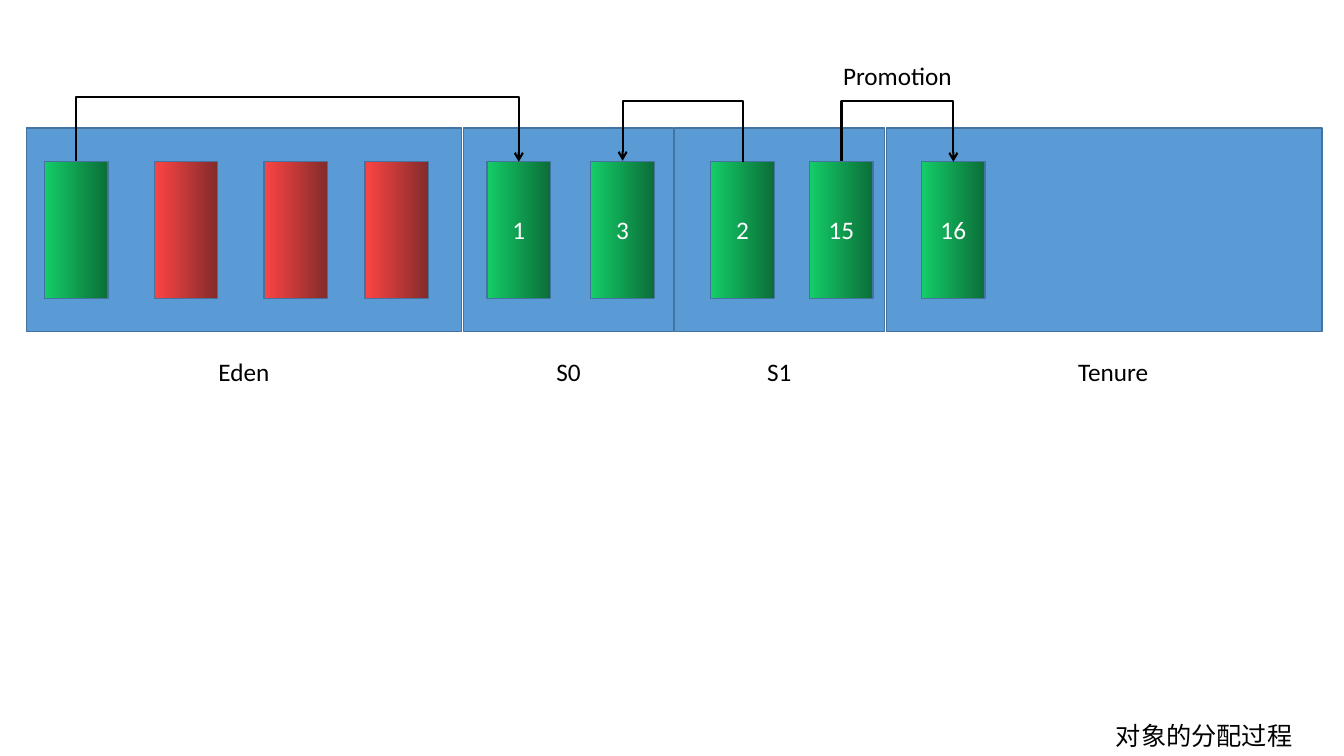
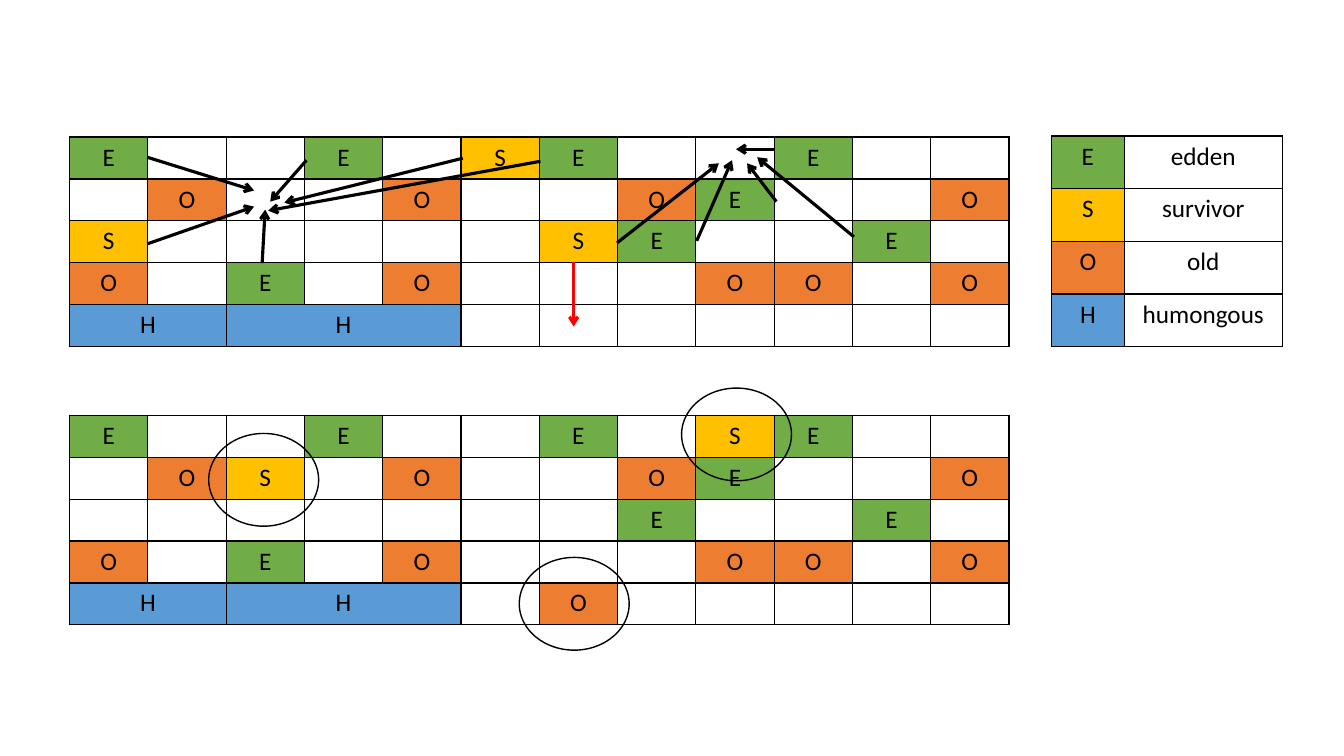
"""Draw two slides on how a garbage collector allocates and moves objects."""
from dataclasses import dataclass, field

from lxml.etree import SubElement
from pptx import Presentation
from pptx.dml.color import RGBColor as RGB
from pptx.enum.shapes import MSO_CONNECTOR as LINK, MSO_SHAPE as SHAPE
from pptx.enum.text import MSO_ANCHOR as ANCHOR, PP_ALIGN as ALIGN
from pptx.oxml.ns import qn
from pptx.util import Pt

PX = 9144


@dataclass(frozen=True)
class Theme:
    font: str = "Calibri"
    size: int = 18
    ink: str = "000000"
    light: str = "FFFFFF"
    alert: str = "FF0000"
    region: str = "5B9BD5"
    edge: str = "43739E"
    live: tuple = ("14CD68", "0B6E38")
    dead: tuple = ("FE4444", "832B2B")
    kinds: dict = field(default_factory=lambda: {
        "E": "70AD47", "S": "FFC000", "O": "ED7D31", "H": "5B9BD5"})


theme = Theme()


def put_text(tf, text, color=theme.ink, align=ALIGN.CENTER, anchor=ANCHOR.TOP):
    tf.word_wrap = True
    tf.vertical_anchor = anchor
    p = tf.paragraphs[0]
    p.alignment = align
    r = p.add_run()
    r.text = text
    r.font.name = theme.font
    r.font.size = Pt(theme.size)
    r.font.color.rgb = RGB.from_string(color)


def add_arrow(slide, kind, ends, color=theme.ink, width=2.25):
    cx = slide.shapes.add_connector(kind, *(v * PX for v in ends))
    cx.line.color.rgb = RGB.from_string(color)
    cx.line.width = Pt(width)
    SubElement(cx.line._get_or_add_ln(), qn("a:tailEnd"), type="arrow")
    SubElement(cx._element.spPr, qn("a:effectLst"))
    return cx


prs = Presentation()
prs.slide_width, prs.slide_height = 1333 * PX, 750 * PX
blank = prs.slide_layouts[6]

s = prs.slides.add_slide(blank)
regions = [("Eden", 26, 432, 242), ("S0", 460, 208, 564),
           ("S1", 669, 208, 773), ("Tenure", 879, 432, 1104)]
for name, left, width, center in regions:
    sp = s.shapes.add_shape(SHAPE.RECTANGLE, left * PX, 127 * PX, width * PX, 202 * PX)
    sp.shadow.inherit = False
    sp.fill.solid()
    sp.fill.fore_color.rgb = RGB.from_string(theme.region)
    sp.line.color.rgb = RGB.from_string(theme.edge)
    sp.line.width = Pt(1)
    box = s.shapes.add_textbox((center - 60) * PX, 349 * PX, 120 * PX, 40 * PX)
    put_text(box.text_frame, name)

cells = [(44, "", theme.live), (153, "", theme.dead), (262, "", theme.dead),
         (362, "", theme.dead), (483, "1", theme.live), (586, "3", theme.live),
         (705, "2", theme.live), (803, "15", theme.live), (914, "16", theme.live)]
objects = {}
for left, age, shades in cells:
    sp = s.shapes.add_shape(SHAPE.RECTANGLE, left * PX, 160 * PX, 63 * PX, 136 * PX)
    sp.shadow.inherit = False
    sp.fill.gradient()
    sp.fill.gradient_angle = 0
    for stop, shade in zip(sp.fill.gradient_stops, shades):
        stop.color.rgb = RGB.from_string(shade)
    sp.line.color.rgb = RGB.from_string(theme.edge)
    sp.line.width = Pt(1)
    if age:
        put_text(sp.text_frame, age, color=theme.light, anchor=ANCHOR.MIDDLE)
    objects[left] = sp

for start, end, rise in [(44, 483, 64), (705, 586, 61), (803, 914, 60)]:
    cx = add_arrow(s, LINK.ELBOW, (start, 160, end, 160), width=1.5)
    cx.begin_connect(objects[start], 0)
    cx.end_connect(objects[end], 0)
    span, forward = abs(end - start), end > start
    cx.left, cx.top = ((start + end + 63) * PX - PX) // 2, (320 - span) * PX // 2
    cx.width, cx.height = PX, span * PX
    xfrm = cx._element.spPr.find(qn("a:xfrm"))
    for flip in ("flipH", "flipV"):
        xfrm.attrib.pop(flip, None)
    xfrm.set("rot", "16200000")
    xfrm.set("flipH" if forward else "flipV", "1")
    guides = cx._element.spPr.find(qn("a:prstGeom")).get_or_add_avLst()
    bend = (-rise if forward else rise) * 100000
    SubElement(guides, qn("a:gd"), name="adj1", fmla=f"val {bend}")

for text, left, top, width, align in [
        ("对象的分配过程", 1097, 710, 237, ALIGN.LEFT),
        ("Promotion", 826, 55, 128, ALIGN.CENTER)]:
    box = s.shapes.add_textbox(left * PX, top * PX, width * PX, 40 * PX)
    put_text(box.text_frame, text, align=align)

s = prs.slides.add_slide(blank)
before = ["E..E.SE..E..",
          ".O..O..OE..O",
          "S.....SE..E.",
          "O.E.O...OO.O",
          "H-H--......."]
after = ["E..E..E.SE..",
         ".OS.O..OE..O",
         ".......E..E.",
         "O.E.O...OO.O",
         "H-H--.O....."]
legend = [("E", "edden"), ("S", "survivor"), ("O", "old"), ("H", "humongous")]
tables = [(69, 136, 932, 208, before, ()),
          (69, 412, 932, 208, after, ()),
          (1043, 135, 229, 209, legend, (72, 157))]
for left, top, width, height, rows, col_widths in tables:
    tbl = s.shapes.add_table(len(rows), len(rows[0]), left * PX, top * PX,
                             width * PX, height * PX).table
    tbl.first_row = tbl.horz_banding = False
    for col, col_width in zip(tbl.columns, col_widths):
        col.width = col_width * PX
    for i, row in enumerate(rows):
        for j, text in enumerate(row):
            cell = tbl.cell(i, j)
            tcPr = cell._tc.get_or_add_tcPr()
            for side in ("a:lnL", "a:lnR", "a:lnT", "a:lnB"):
                ln = SubElement(tcPr, qn(side), w=str(Pt(1)))
                SubElement(SubElement(ln, qn("a:solidFill")), qn("a:srgbClr"), val=theme.ink)
            if text in theme.kinds:
                cell.fill.solid()
                cell.fill.fore_color.rgb = RGB.from_string(theme.kinds[text])
            else:
                cell.fill.background()
            if text not in ".-":
                put_text(cell.text_frame, text)
            if text == "H" and "-" in row:
                tail = row[j + 1:]
                cell.merge(tbl.cell(i, j + len(tail) - len(tail.lstrip("-"))))

moves = [(146, 242, 252, 205), (146, 156, 252, 189), (304, 159, 268, 200),
         (260, 261, 263, 208), (459, 157, 282, 201), (536, 160, 266, 209),
         (612, 241, 713, 162), (691, 239, 726, 159), (770, 200, 741, 162),
         (768, 148, 730, 148), (847, 235, 751, 156)]
for ends in moves:
    add_arrow(s, LINK.STRAIGHT, ends)
add_arrow(s, LINK.STRAIGHT, (569, 260, 569, 324), color=theme.alert)

for left, top in [(207, 430), (515, 553), (676, 385)]:
    sp = s.shapes.add_shape(SHAPE.OVAL, left * PX, top * PX, 109 * PX, 92 * PX)
    sp.shadow.inherit = False
    sp.fill.background()
    sp.line.color.rgb = RGB.from_string(theme.ink)
    sp.line.width = Pt(1)

prs.save("out.pptx")
